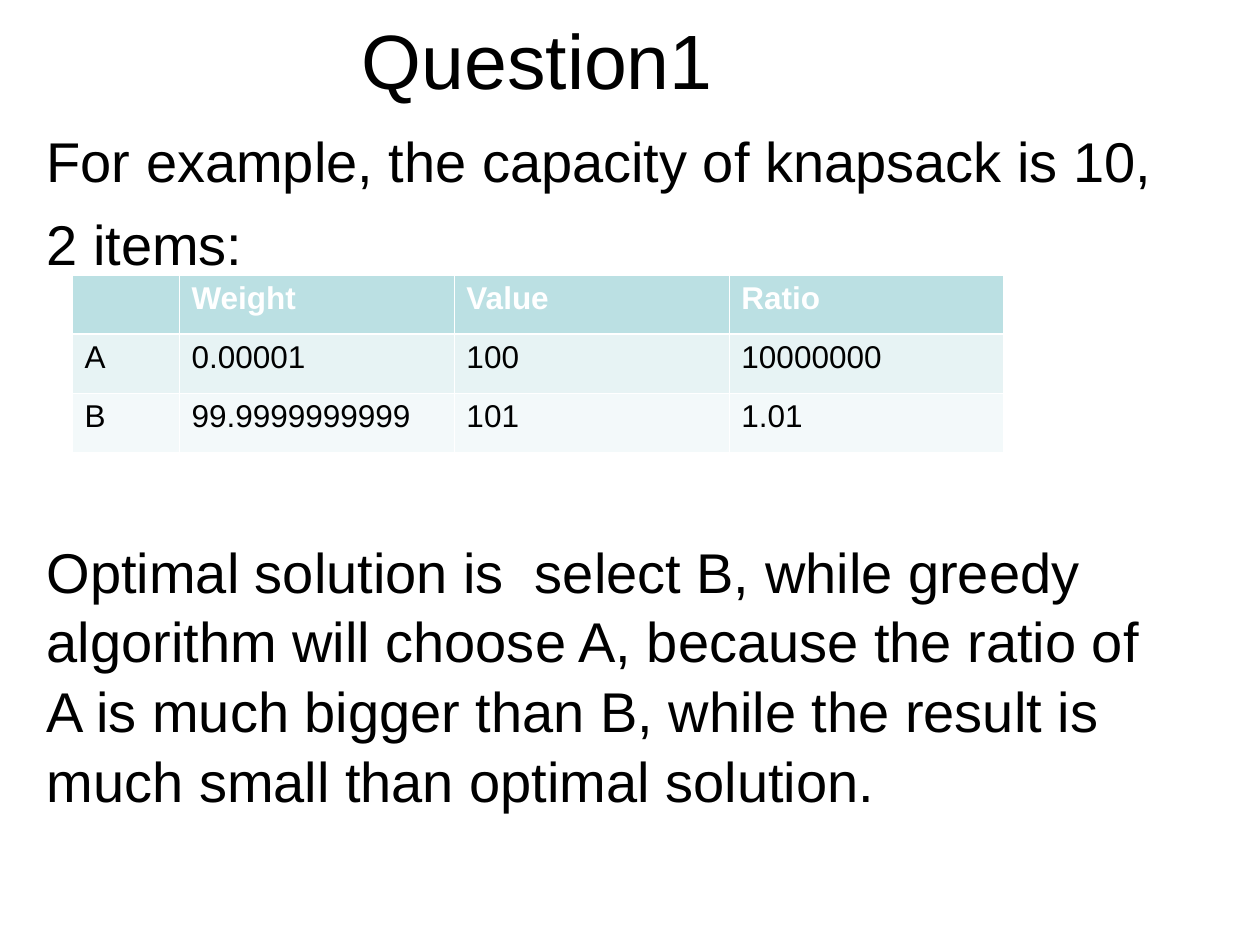
from pptx import Presentation
from pptx.dml.color import RGBColor
from pptx.enum.text import MSO_ANCHOR as Anchor, MSO_AUTO_SIZE as Fit, PP_ALIGN as Align
from pptx.oxml.ns import qn
from pptx.util import Emu, Pt
from lxml.etree import Element, SubElement

TITLE = "Question1"
# text, points of space above
LINES = [
    ("For example, the capacity of knapsack is 10,", 8),
    ("2 items:", 8),
    ("Optimal solution is  select B, while greedy algorithm will choose A, "
     "because the ratio of A is much bigger than B, while the result is "
     "much small than optimal solution.", 147),
]
ROWS = [
    ("", "Weight", "Value", "Ratio"),
    ("A", "0.00001", "100", "10000000"),
    ("B", "99.9999999999", "101", "1.01"),
]
# left, top, width, height in pixels
TITLE_BOX = (292, 1, 491, 115)
BODY_BOX = (34, 117, 1134, 793)
GRID_AT = (72, 275)
COLS = (107, 275, 275, 275)
ROW_H = 59
THEME = {
    "font": "Arial", "title": 44, "body": 32, "cell": 18,
    "ink": "000000", "light": "FFFFFF",
    "fills": ("BBE0E3", "E7F3F4", "F3F9FA"),
    "thin": 0.45, "thick": 1.47, "leading": 1.04,
}


def px(n):
    """Turn pixels into EMU."""
    return Emu(round(n * 914400 / 126))


def style(para, size, color, bold=False):
    """Set the font of a paragraph."""
    font = para.font
    font.name, font.size, font.bold = THEME["font"], Pt(size), bold
    font.color.rgb = RGBColor.from_string(color)


def place(shape, box):
    """Move and size a placeholder, and fix its text size."""
    shape.left, shape.top, shape.width, shape.height = map(px, box)
    shape.text_frame.auto_size = Fit.NONE
    shape.text_frame.word_wrap = True


def add_title(shape):
    """Fill the title."""
    place(shape, TITLE_BOX)
    frame = shape.text_frame
    frame.text = TITLE
    frame.vertical_anchor = Anchor.MIDDLE
    frame.paragraphs[0].alignment = Align.CENTER
    style(frame.paragraphs[0], THEME["title"], THEME["ink"])


def add_body(shape):
    """Fill the body with plain paragraphs without bullets."""
    place(shape, BODY_BOX)
    frame = shape.text_frame
    frame.text = "\n".join(text for text, _ in LINES)
    for para, (_, gap) in zip(frame.paragraphs, LINES):
        para.space_before, para.line_spacing = Pt(gap), THEME["leading"]
        props = para._p.get_or_add_pPr()
        props.set("marL", "0")
        props.set("indent", "0")
        SubElement(props, qn("a:buNone"))
        style(para, THEME["body"], THEME["ink"])


def add_edges(cell, row):
    """Draw the cell borders, thick below the header row."""
    thick = {"T": row == 1, "B": row == 0}
    for spot, side in enumerate("LRTB"):
        width = THEME["thick" if thick.get(side) else "thin"]
        line = Element(qn("a:ln" + side), w=str(Pt(width)))
        fill = SubElement(line, qn("a:solidFill"))
        SubElement(fill, qn("a:srgbClr"), val=THEME["light"])
        cell._tc.get_or_add_tcPr().insert(spot, line)


def add_grid(slide):
    """Add the table of items."""
    size = (sum(COLS), ROW_H * len(ROWS))
    grid = slide.shapes.add_table(
        len(ROWS), len(COLS), *map(px, GRID_AT + size)).table
    for col, width in zip(grid.columns, COLS):
        col.width = px(width)
    for r, texts in enumerate(ROWS):
        grid.rows[r].height = px(ROW_H)
        for c, text in enumerate(texts):
            cell = grid.cell(r, c)
            cell.text = text
            cell.fill.solid()
            cell.fill.fore_color.rgb = RGBColor.from_string(THEME["fills"][r])
            add_edges(cell, r)
            color = THEME["ink" if r else "light"]
            style(cell.text_frame.paragraphs[0], THEME["cell"], color, r == 0)


deck = Presentation()
deck.slide_width, deck.slide_height = px(1260), px(945)
slide = deck.slides.add_slide(deck.slide_layouts[1])
add_title(slide.shapes.title)
add_body(slide.placeholders[1])
add_grid(slide)
deck.save("out.pptx")
